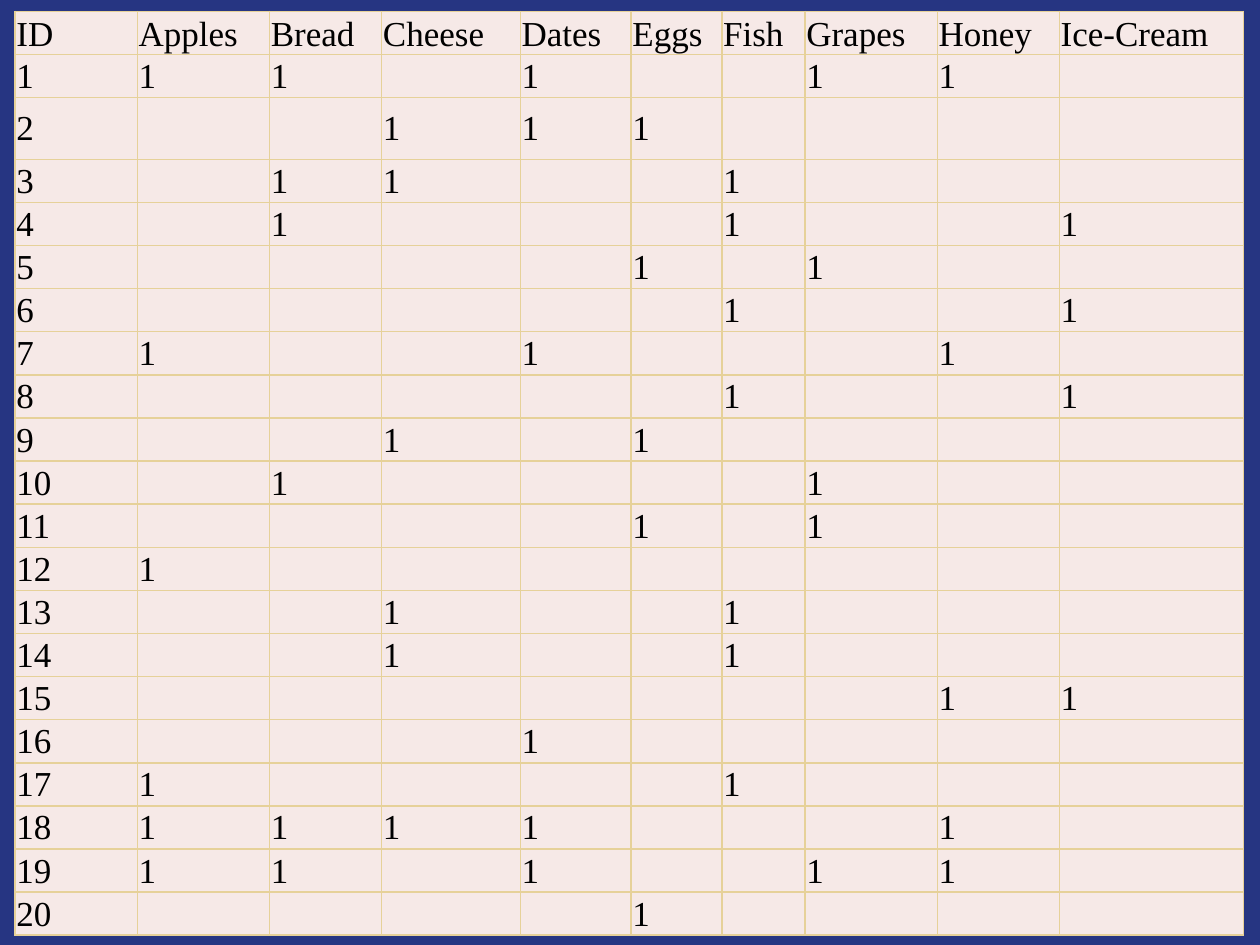
from dataclasses import dataclass

from lxml import etree
from pptx import Presentation
from pptx.dml.color import RGBColor
from pptx.enum.text import MSO_ANCHOR
from pptx.oxml.ns import qn
from pptx.util import Inches, Pt

BOTTOM, MIDDLE = MSO_ANCHOR.BOTTOM, MSO_ANCHOR.MIDDLE


@dataclass(frozen=True)
class Theme:
    background: str = "263582"
    cell: str = "F6E9E7"
    border: str = "E6D199"
    text: str = "000000"
    font: str = "Times New Roman"
    size: int = 20
    border_width: int = 1


THEME = Theme()

ITEMS = ["Apples", "Bread", "Cheese", "Dates", "Eggs",
         "Fish", "Grapes", "Honey", "Ice-Cream"]
# One basket per ID; each letter is the initial of an item bought
BASKETS = ["ABDGH", "CDE", "BCF", "BFI", "EG", "FI", "ADH", "FI", "CE", "BG",
           "EG", "A", "CF", "CF", "HI", "D", "AF", "ABCDH", "ABDGH", "E"]

LEFT, TOP, WIDTH, HEIGHT = 0.12, 0.09, 9.76, 7.34
COLUMN_WIDTHS = [0.97, 1.05, 0.89, 1.1, 0.88, 0.72, 0.66, 1.05, 0.97, 1.46]
TALL_ROW, TALL_HEIGHT = 2, 0.49
MARGIN = 0.01


def basket_rows():
    rows = [["ID"] + ITEMS]
    for number, basket in enumerate(BASKETS, start=1):
        rows.append([str(number)] + ["1" if item[0] in basket else "" for item in ITEMS])
    return rows


def set_borders(cell):
    tc_pr = cell._tc.get_or_add_tcPr()
    for side in ("a:lnL", "a:lnR", "a:lnT", "a:lnB"):
        ln = etree.SubElement(tc_pr, qn(side), w=str(Pt(THEME.border_width)))
        fill = etree.SubElement(ln, qn("a:solidFill"))
        etree.SubElement(fill, qn("a:srgbClr"), val=THEME.border)


def fill_cell(cell, text, anchor):
    set_borders(cell)
    cell.fill.solid()
    cell.fill.fore_color.rgb = RGBColor.from_string(THEME.cell)
    cell.margin_left = cell.margin_right = cell.margin_top = Inches(MARGIN)
    cell.margin_bottom = 0
    cell.vertical_anchor = anchor
    if text:
        p = cell.text_frame.paragraphs[0]
        p.text = text
        font = p.runs[0].font
        font.name, font.size, font.bold = THEME.font, Pt(THEME.size), False
        font.color.rgb = RGBColor.from_string(THEME.text)


def add_basket_table(s, rows):
    table = s.shapes.add_table(len(rows), len(rows[0]), Inches(LEFT), Inches(TOP),
                               Inches(WIDTH), Inches(HEIGHT)).table
    table.first_row = table.horz_banding = False
    for column, width in zip(table.columns, COLUMN_WIDTHS):
        column.width = Inches(width)

    # Rows share the height left over by the tall one
    row_height = (HEIGHT - TALL_HEIGHT) / (len(rows) - 1)
    for i, values in enumerate(rows):
        table.rows[i].height = Inches(TALL_HEIGHT if i == TALL_ROW else row_height)
        for j, value in enumerate(values):
            fill_cell(table.cell(i, j), value, MIDDLE if i else BOTTOM)


def main():
    prs = Presentation()
    prs.slide_width, prs.slide_height = Inches(10), Inches(7.5)
    s = prs.slides.add_slide(prs.slide_layouts[6])
    s.background.fill.solid()
    s.background.fill.fore_color.rgb = RGBColor.from_string(THEME.background)
    add_basket_table(s, basket_rows())
    prs.save("out.pptx")


if __name__ == "__main__":
    main()
